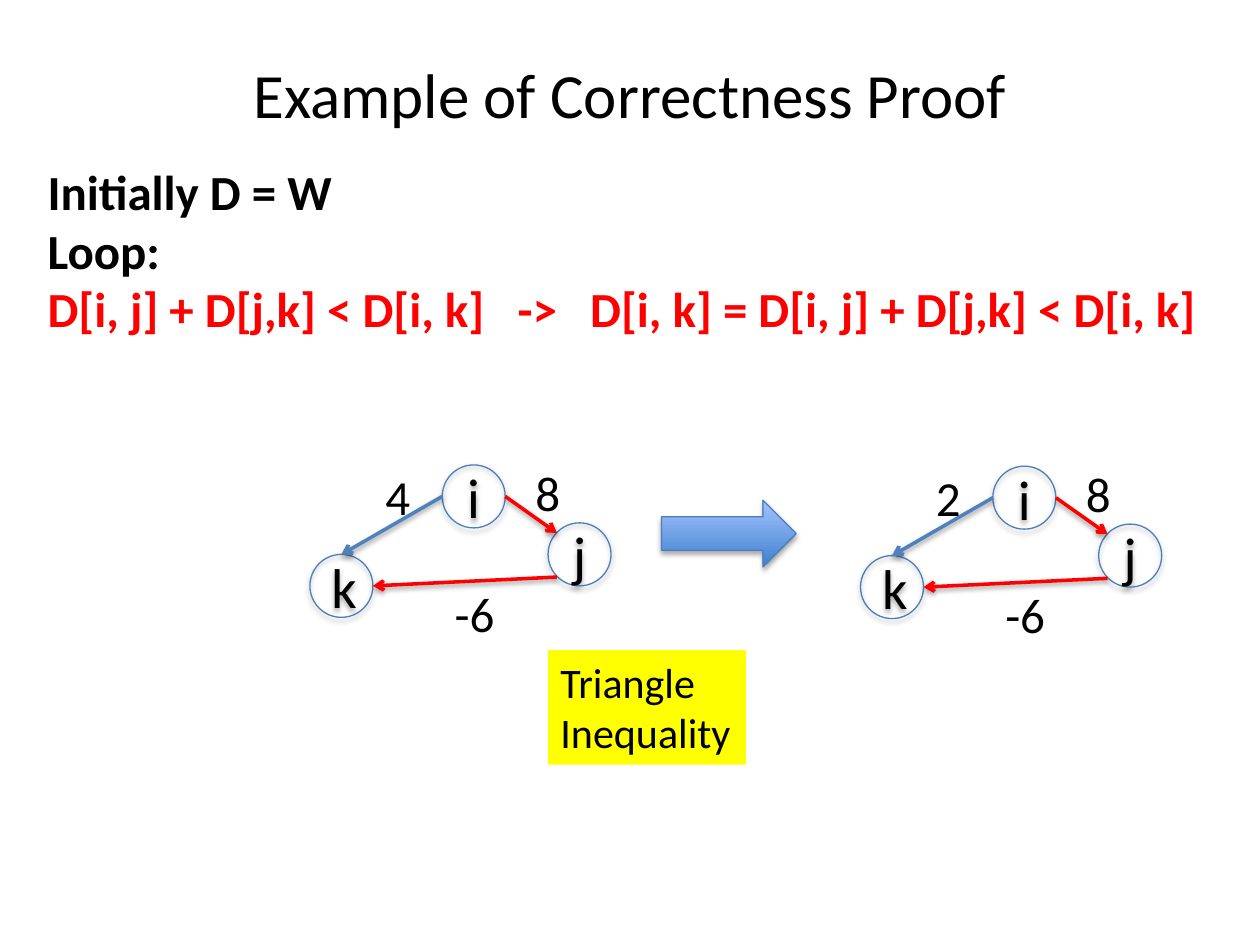
from lxml import etree
from pptx import Presentation
from pptx.dml.color import RGBColor
from pptx.enum import shapes, text
from pptx.oxml import ns
from pptx.util import Inches, Pt

BLACK = RGBColor(0x00, 0x00, 0x00)
RED = RGBColor(0xFF, 0x00, 0x00)
YELLOW = RGBColor(0xFF, 0xFF, 0x00)
OUTLINE = RGBColor(0x4B, 0x7E, 0xBC)
EDGE_BLUE = RGBColor(0x4F, 0x81, 0xBD)
ARROW_DARK = RGBColor(0x3F, 0x80, 0xCE)
ARROW_LIGHT = RGBColor(0xA4, 0xC4, 0xFF)
NODE_SIZE = 0.5


def add_shadow(shape, distance, opacity):
    """Put a soft black shadow straight below a shape or connector whose line is set."""
    effects = etree.SubElement(shape.element.spPr, ns.qn("a:effectLst"))
    shadow = etree.SubElement(effects, ns.qn("a:outerShdw"), blurRad=str(Pt(3.1)),
                              dist=str(Pt(distance)), dir="5400000", rotWithShape="0")
    colour = etree.SubElement(shadow, ns.qn("a:srgbClr"), val=str(BLACK))
    etree.SubElement(colour, ns.qn("a:alpha"), val=str(opacity * 1000))


def add_text(parent, lines, left, top, width, height, size, wrap=False):
    box = parent.add_textbox(Inches(left), Inches(top), Inches(width), Inches(height))
    frame = box.text_frame
    frame.word_wrap = wrap
    frame.auto_size = text.MSO_AUTO_SIZE.SHAPE_TO_FIT_TEXT
    frame.text = "\n".join(lines)
    for para in frame.paragraphs:
        para.font.name = "Calibri"
        para.font.size = Pt(size)
        para.font.color.rgb = BLACK
    return box


deck = Presentation()
deck.slide_width = Inches(10)
deck.slide_height = Inches(7.5)
slide = deck.slides.add_slide(deck.slide_layouts[6])

title = add_text(slide.shapes, ["Example of Correctness Proof"], 1.87, 0.39, 6.26, 0.71, 36)
title.text_frame.paragraphs[0].alignment = text.PP_ALIGN.CENTER

proof = add_text(slide.shapes, [
    "Initially D = W",
    "Loop:",
    "D[i, j] + D[j,k] < D[i, k]   ->   D[i, k] = D[i, j] + D[j,k] < D[i, k]",
], 0.28, 1.23, 9.43, 1.99, 28, wrap=True)
for para in proof.text_frame.paragraphs:
    para.font.bold = True
proof.text_frame.paragraphs[-1].font.color.rgb = RED

# Both graphs share one layout, measured from the left and top of their k and i nodes
nodes = [("i", 1.05, 0), ("j", 1.89, 0.46), ("k", 0, 0.71)]
edges = [
    (1.55, 0.25, 1.96, 0.54, RED),
    (1.96, 0.89, 0.5, 0.96, RED),
    (1.05, 0.25, 0.25, 0.71, EDGE_BLUE),
]
for graph_left, graph_top, direct_weight in [(2.46, 3.69, "4"), (6.83, 3.7, "2")]:
    graph = slide.shapes.add_group_shape().shapes

    for name, x, y in nodes:
        node = graph.add_shape(shapes.MSO_SHAPE.OVAL, Inches(graph_left + x),
                               Inches(graph_top + y), Inches(NODE_SIZE), Inches(NODE_SIZE))
        node.fill.background()
        node.line.color.rgb = OUTLINE
        node.line.width = Pt(0.75)
        add_shadow(node, 1.8, 35)
        node.text_frame.text = name
        node.text_frame.vertical_anchor = text.MSO_ANCHOR.MIDDLE
        para = node.text_frame.paragraphs[0]
        para.alignment = text.PP_ALIGN.CENTER
        para.font.name = "Calibri"
        para.font.size = Pt(32)
        para.font.color.rgb = BLACK

    for x1, y1, x2, y2, colour in edges:
        edge = graph.add_connector(
            shapes.MSO_CONNECTOR.STRAIGHT,
            Inches(graph_left + x1), Inches(graph_top + y1),
            Inches(graph_left + x2), Inches(graph_top + y2))
        edge.line.color.rgb = colour
        edge.line.width = Pt(2)
        line = edge.element.spPr.find(ns.qn("a:ln"))
        etree.SubElement(line, ns.qn("a:tailEnd"), type="arrow")
        add_shadow(edge, 1.6, 38)

    for weight, x, y, width in [("8", 1.69, -0.07, 0.4), ("-6", 1.05, 0.89, 0.52),
                                (direct_weight, 0.5, -0.04, 0.4)]:
        add_text(graph, [weight], graph_left + x, graph_top + y, width, 0.57, 28)

arrow = slide.shapes.add_shape(shapes.MSO_SHAPE.RIGHT_ARROW, Inches(5.25), Inches(3.97),
                               Inches(1.07), Inches(0.53))
arrow.fill.gradient()
arrow.fill.gradient_angle = 90
for stop, position, colour in zip(arrow.fill.gradient_stops, (0, 1), (ARROW_DARK, ARROW_LIGHT)):
    stop.position = position
    stop.color.rgb = colour
arrow.line.color.rgb = OUTLINE
arrow.line.width = Pt(0.75)
add_shadow(arrow, 1.8, 35)

note = add_text(slide.shapes, ["Triangle", "Inequality"], 4.35, 5.16, 1.57, 0.91, 24)
note.fill.solid()
note.fill.fore_color.rgb = YELLOW

deck.save("out.pptx")
